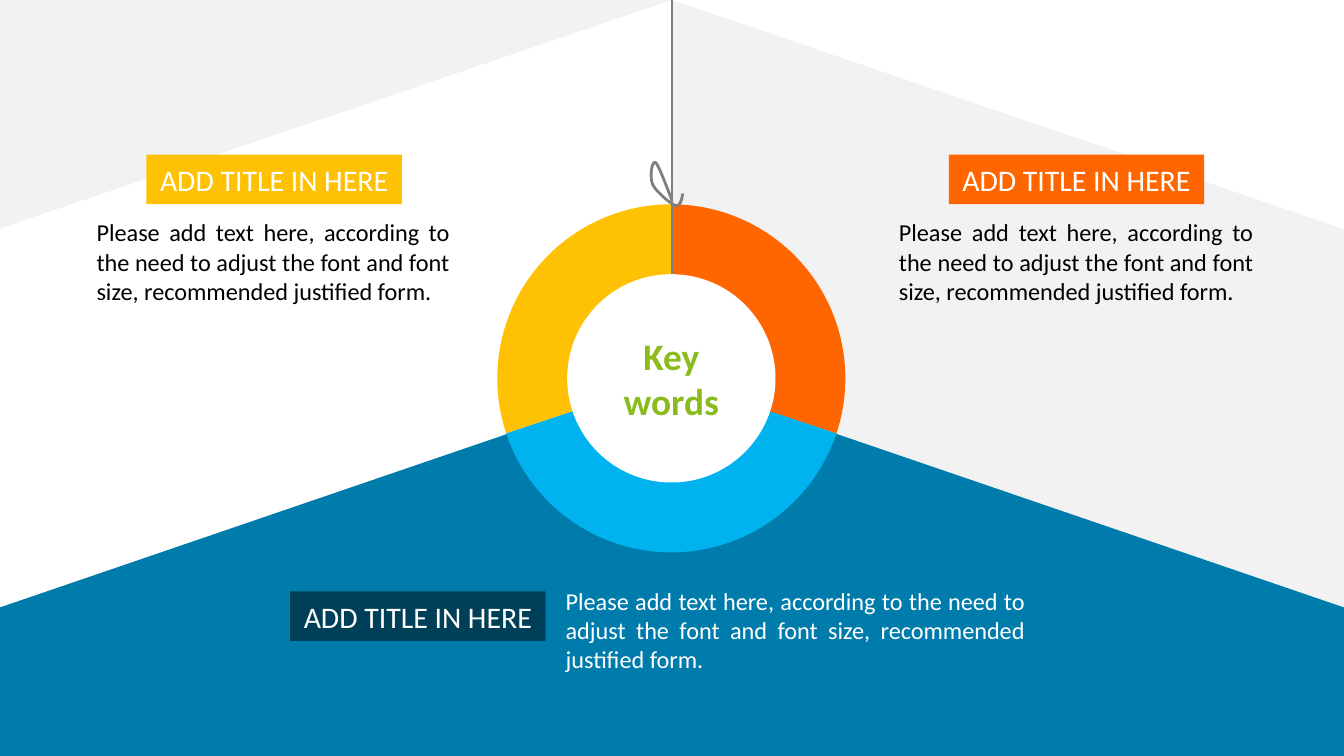
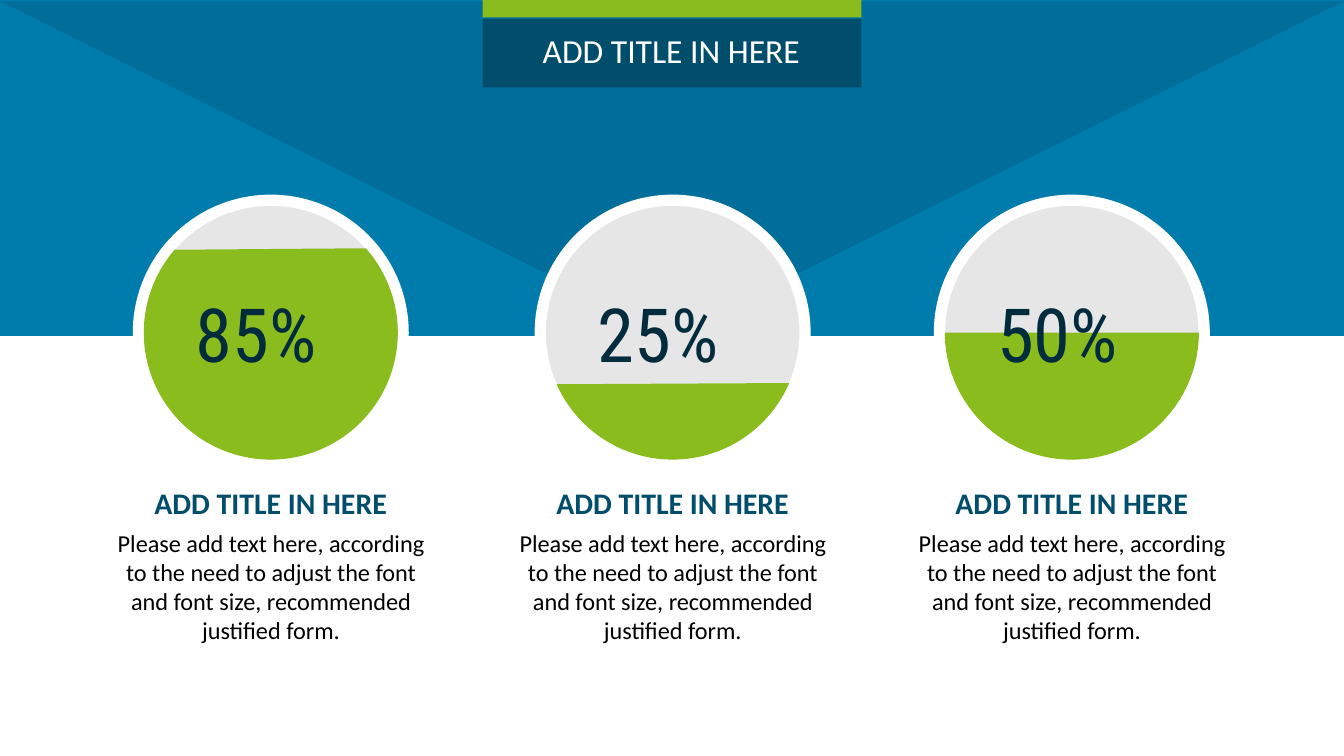
from lxml import etree
from pptx import Presentation
from pptx.dml.color import RGBColor
from pptx.enum.shapes import MSO_CONNECTOR, MSO_SHAPE
from pptx.enum.text import MSO_AUTO_SIZE, PP_ALIGN
from pptx.oxml.ns import qn
from pptx.util import Pt

PX = 9144  # EMU per px, 100 px to the inch
WIDE = 1000
RECT, OVAL = MSO_SHAPE.RECTANGLE, MSO_SHAPE.OVAL
PIE, CHORD = MSO_SHAPE.PIE, MSO_SHAPE.CHORD
SLANT, WEDGE = MSO_SHAPE.PARALLELOGRAM, MSO_SHAPE.RIGHT_TRIANGLE
PEAK = MSO_SHAPE.ISOSCELES_TRIANGLE
LINE = MSO_CONNECTOR.STRAIGHT
GROW = MSO_AUTO_SIZE.SHAPE_TO_FIT_TEXT
LEFT, MID, FULL = PP_ALIGN.LEFT, PP_ALIGN.CENTER, PP_ALIGN.JUSTIFY


class Theme:
    white, black = "FFFFFF", "000000"
    pale, disc, cord = "F2F2F2", "E7E6E6", "7F7F7F"
    blue, shade, sky = "007CAC", "006E9A", "00B3EE"
    navy, deep, ink = "004D6C", "003F58", "002C3E"
    gold, flame, green = "FFC104", "FF6600", "8ABC1D"
    thin, thick = Pt(1.5), Pt(6)
    label = {"wrap": False, "para": {"alignment": MID},
             "font": {"name": "Calibri", "size": Pt(16)}}
    head = {**label, "font": {"name": "Calibri", "size": Pt(18)}}
    sub = {**label, "font": {**label["font"], "bold": True}}
    key = {**sub, "font": {**sub["font"], "size": Pt(20)}}
    body = {"wrap": True, "para": {"alignment": FULL, "space_after": Pt(6)},
            "font": {"name": "Calibri", "size": Pt(13)}}
    note = {**body, "para": {**body["para"], "alignment": MID}}
    rate = {"wrap": False, "para": {"alignment": LEFT},
            "font": {"name": "Roboto Condensed", "size": Pt(40)}}


TITLE = "ADD TITLE IN HERE"
BODY = ("Please add text here, according to the need to adjust the font "
        "and font size, recommended justified form.")


def draw(slide, kind, box, fill, turn=0, adj=()):
    shape = slide.shapes.add_shape(kind, *[n * PX for n in box])
    shape.shadow.inherit = False
    shape.fill.solid()
    shape.fill.fore_color.rgb = RGBColor.from_string(fill)
    shape.line.fill.background()
    shape.rotation = turn
    for i, val in enumerate(adj):
        shape.adjustments[i] = val
    return shape


def write(slide, box, text, style, color, fill=None):
    if fill:
        shape = draw(slide, RECT, box, fill)
    else:
        shape = slide.shapes.add_textbox(*[n * PX for n in box])
    frame = shape.text_frame
    frame.text = text
    frame.word_wrap = style["wrap"]
    frame.auto_size = GROW
    for para in frame.paragraphs:
        for name, val in style["para"].items():
            setattr(para, name, val)
        font = para.runs[0].font
        for name, val in style["font"].items():
            setattr(font, name, val)
        font.color.rgb = RGBColor.from_string(color)


deck = Presentation()
deck.slide_width = WIDE * PX
deck.slide_height = WIDE * PX * 9 // 16
blank = deck.slide_layouts[6]

# Slide 1: backdrop
ring = deck.slides.add_slide(blank)
draw(ring, SLANT, (524, -24, 452, 500), Theme.pale, 270, [0.377])
pen = ring.shapes.build_freeform(500, 281, scale=PX)
pen.add_line_segments([(WIDE, 452), (WIDE, 563), (0, 563), (0, 452)])
roof = pen.convert_to_shape()
roof.shadow.inherit = False
roof.fill.solid()
roof.fill.fore_color.rgb = RGBColor.from_string(Theme.blue)
roof.line.fill.background()
draw(ring, WEDGE, (165, -165, 170, 500), Theme.pale, 90)

# Slide 1: labels and body text
for tag, area, fill, color in (
    ((216, 440), (411, 431, 361, 75), Theme.deep, Theme.white),
    ((109, 115), (62, 157, 282, 97), Theme.gold, Theme.black),
    ((706, 115), (659, 157, 283, 97), Theme.flame, Theme.black),
):
    write(ring, (*tag, 190, 37), TITLE, Theme.label, Theme.white, fill)
    write(ring, area, BODY, Theme.body, color)

# Slide 1: ring sectors, from and to in degrees
for start, end, fill in (
    (18.4, 161.6, Theme.sky),
    (161.6, 270, Theme.gold),
    (270, 18.4, Theme.flame),
):
    draw(ring, PIE, (370, 152, 259, 259), fill,
         adj=[start * 0.6, end * 0.6])

# Slide 1: cord
cord = ring.shapes.add_connector(LINE, 500 * PX, -PX, 500 * PX, 205 * PX)
cord.line.color.rgb = RGBColor.from_string(Theme.cord)
cord.line.width = Theme.thin
etree.SubElement(cord._element.spPr, qn("a:effectLst"))

# Slide 1: loop of the knot, three cubic curves
knot = [(500, 149), (495, 136), (490, 123), (488, 121),
        (485, 119), (483, 132), (486, 138),
        (489, 143), (499, 152), (503, 153),
        (507, 154), (508, 144), (508, 144)]
steps = 10
dots = []
for i in range(0, len(knot) - 1, 3):
    for step in range(1, steps + 1):
        t = step / steps
        u = 1 - t
        mix = (u ** 3, 3 * u * u * t, 3 * u * t * t, t ** 3)
        dots.append([sum(m * p[axis] for m, p in zip(mix, knot[i:i + 4])) * PX
                     for axis in (0, 1)])
pen = ring.shapes.build_freeform(*[n * PX for n in knot[0]])
pen.add_line_segments(dots, close=False)
bow = pen.convert_to_shape()
bow.shadow.inherit = False
bow.fill.background()
bow.line.color.rgb = RGBColor.from_string(Theme.cord)
bow.line.width = Theme.thin

# Slide 1: centre
draw(ring, OVAL, (422, 204, 155, 155), Theme.white)
write(ring, (454, 243, 91, 77), "Key\nwords", Theme.key, Theme.green)

# Slide 2: backdrop
rates = deck.slides.add_slide(blank)
draw(rates, RECT, (0, 0, WIDE, 250), Theme.blue)
draw(rates, PEAK, (0, 1, WIDE, 249), Theme.shade, 180)

# Slide 2: gauges, with the ends of each level in degrees
for left, text, start, end in (
    (103, "85%", 318.4, 220.7),
    (402, "25%", 23.4, 156),
    (699, "50%", 0, 180),
):
    dial = draw(rates, OVAL, (left, 149, 197, 197), Theme.disc)
    dial.line.color.rgb = RGBColor.from_string(Theme.white)
    dial.line.width = Theme.thick
    draw(rates, CHORD, (left + 4, 153, 189, 189), Theme.green,
         adj=[start * 0.6, end * 0.6])
    write(rates, (left + 33, 209, 129, 77), text, Theme.rate, Theme.ink)
    write(rates, (left - 34, 388, 265, 97), BODY, Theme.note, Theme.black)
    write(rates, (left + 2, 356, 193, 37), TITLE, Theme.sub, Theme.navy)

# Slide 2: title band
draw(rates, RECT, (359, 0, 282, 13), Theme.green)
draw(rates, RECT, (359, 14, 282, 51), Theme.navy)
write(rates, (392, 17, 215, 40), TITLE, Theme.head, Theme.white)

deck.save("out.pptx")
